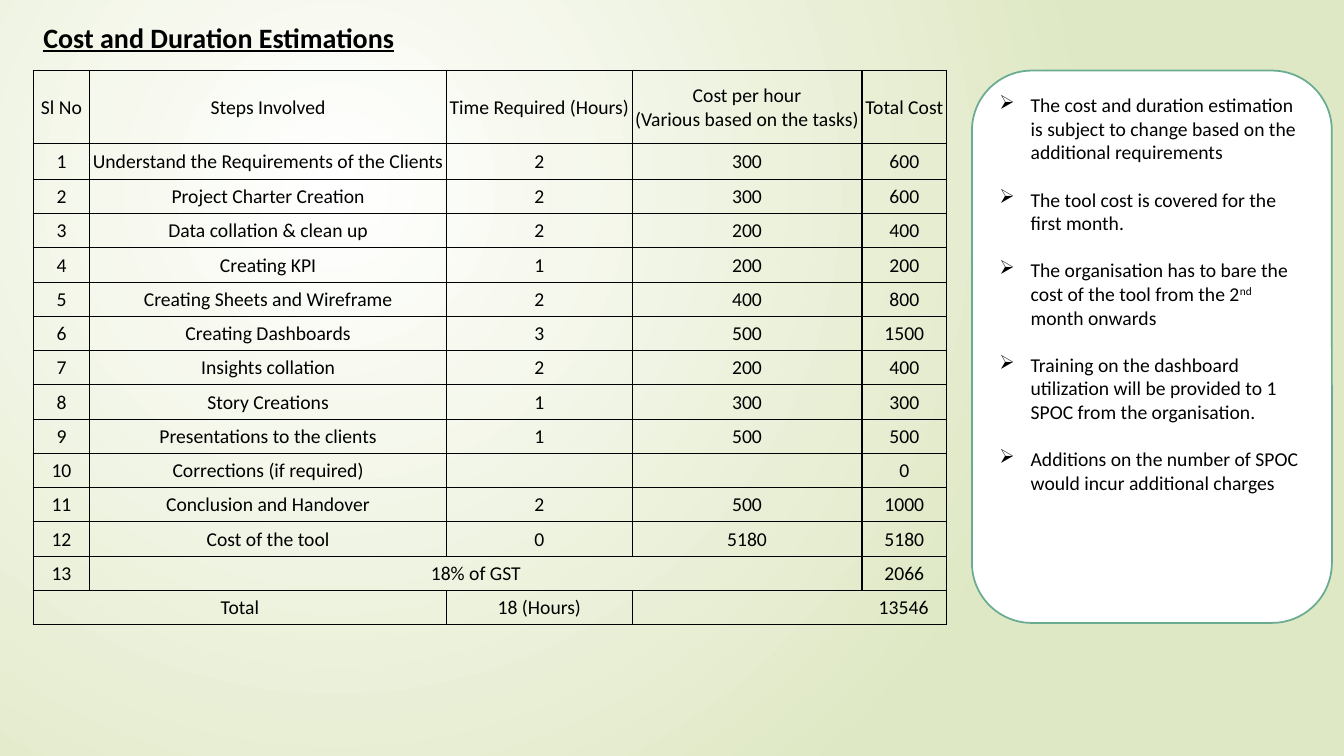
from lxml.etree import SubElement
from pptx import Presentation
from pptx.dml.color import RGBColor
from pptx.enum.shapes import MSO_SHAPE
from pptx.enum.text import MSO_ANCHOR, MSO_AUTO_SIZE, PP_ALIGN
from pptx.oxml import parse_xml
from pptx.oxml.ns import nsdecls, qn
from pptx.util import Inches, Pt

BLACK = RGBColor(0x00, 0x00, 0x00)
WHITE = RGBColor(0xFF, 0xFF, 0xFF)
PALE_GREEN = RGBColor(0xDF, 0xE8, 0xC4)
TEAL = RGBColor(0x6A, 0xAC, 0x91)
FONT = "Calibri"

HEADERS = ["Sl No", "Steps Involved", "Time Required (Hours)",
           "Cost per hour\n(Various based on the tasks)", "Total Cost"]
# Step, hours, cost per hour, total cost
STEPS = [
    ("Understand the Requirements of the Clients", "2", "300", "600"),
    ("Project Charter Creation", "2", "300", "600"),
    ("Data collation & clean up", "2", "200", "400"),
    ("Creating KPI", "1", "200", "200"),
    ("Creating Sheets and Wireframe", "2", "400", "800"),
    ("Creating Dashboards", "3", "500", "1500"),
    ("Insights collation", "2", "200", "400"),
    ("Story Creations", "1", "300", "300"),
    ("Presentations to the clients", "1", "500", "500"),
    ("Corrections (if required)", "", "", "0"),
    ("Conclusion and Handover", "2", "500", "1000"),
    ("Cost of the tool", "0", "5180", "5180"),
    ("18% of GST", "", "", "2066"),
]
TOTALS = ["Total", "", "18 (Hours)", "13546", ""]
COLUMN_WIDTHS = [0.56, 3.54, 1.84, 2.28, 0.84]
ROW_HEIGHTS = [0.72, 0.36] + [0.34] * 13

# Each note is a list of (text, is superscript) runs
NOTES = [
    [("The cost and duration estimation is subject to change based on the "
      "additional requirements", False)],
    [("The tool cost is covered for the first month.", False)],
    [("The organisation has to bare the cost of the tool from the 2", False),
     ("nd", True), (" month onwards", False)],
    [("Training on the dashboard utilization will be provided to 1 SPOC from "
      "the organisation.", False)],
    [("Additions on the number of SPOC would incur additional charges", False)],
]


def add_run(paragraph, text, size=14):
    run = paragraph.add_run()
    run.text = text
    run.font.name = FONT
    run.font.size = Pt(size)
    run.font.color.rgb = BLACK
    return run


def paint_background(slide):
    fill = slide.background.fill
    fill.gradient()
    for stop, color in zip(fill.gradient_stops, (WHITE, PALE_GREEN)):
        stop.color.rgb = color
    # Swap the linear gradient for a circular one
    linear = next(slide.element.iter(qn("a:lin")))
    gradient = linear.getparent()
    gradient.remove(linear)
    circle = SubElement(gradient, qn("a:path"))
    circle.set("path", "circle")
    focus = SubElement(circle, qn("a:fillToRect"))
    for side, percent in zip("ltrb", (50, 50, 100, 100)):
        focus.set(side, str(percent * 1000))


def add_heading(slide, left, top, width, height):
    heading = slide.shapes.title
    heading.left, heading.top = Inches(left), Inches(top)
    heading.width, heading.height = Inches(width), Inches(height)
    frame = heading.text_frame
    frame.word_wrap = False
    frame.auto_size = MSO_AUTO_SIZE.NONE
    frame.vertical_anchor = MSO_ANCHOR.TOP
    paragraph = frame.paragraphs[0]
    paragraph.alignment = PP_ALIGN.LEFT
    run = add_run(paragraph, "Cost and Duration Estimations", 20)
    run.font.bold = run.font.underline = True


def add_borders(cell):
    properties = cell._tc.get_or_add_tcPr()
    for index, edge in enumerate(("lnL", "lnR", "lnT", "lnB")):
        properties.insert(index, parse_xml(
            f'<a:{edge} {nsdecls("a")} w="{Pt(1)}"><a:solidFill>'
            f'<a:srgbClr val="{BLACK}"/></a:solidFill></a:{edge}>'))


def fill_cell(cell, text):
    cell.fill.background()
    add_borders(cell)
    cell.margin_left = cell.margin_right = cell.margin_top = Inches(0.01)
    cell.margin_bottom = 0
    cell.vertical_anchor = MSO_ANCHOR.MIDDLE
    paragraph = cell.text_frame.paragraphs[0]
    paragraph.alignment = PP_ALIGN.CENTER
    for index, line in enumerate(text.split("\n") if text else []):
        if index:
            paragraph.add_line_break()
        add_run(paragraph, line)


def add_cost_table(slide, left, top, width, height):
    rows = [HEADERS]
    rows += [[str(number), *step] for number, step in enumerate(STEPS, 1)]
    rows.append(TOTALS)
    costs = slide.shapes.add_table(
        len(rows), len(HEADERS), Inches(left), Inches(top),
        Inches(width), Inches(height)).table
    costs.first_row = costs.horz_banding = False
    for column, column_width in zip(costs.columns, COLUMN_WIDTHS):
        column.width = Inches(column_width)
    for row, row_height, texts in zip(costs.rows, ROW_HEIGHTS, rows):
        row.height = Inches(row_height)
        for cell, text in zip(row.cells, texts):
            fill_cell(cell, text)

    # Tax and total rows span several columns
    total_row = len(rows) - 1
    tax_row = total_row - 1
    costs.cell(tax_row, 1).merge(costs.cell(tax_row, 3))
    costs.cell(total_row, 0).merge(costs.cell(total_row, 1))
    grand_total = costs.cell(total_row, 3)
    grand_total.merge(costs.cell(total_row, 4))
    grand_total.margin_right = Inches(0.18)
    grand_total.text_frame.paragraphs[0].alignment = PP_ALIGN.RIGHT


def add_notes_panel(slide, left, top, width, height):
    panel = slide.shapes.add_shape(
        MSO_SHAPE.ROUNDED_RECTANGLE, Inches(left), Inches(top),
        Inches(width), Inches(height))
    panel.shadow.inherit = False
    panel.fill.solid()
    panel.fill.fore_color.rgb = WHITE
    panel.line.color.rgb = TEAL
    panel.line.width = Pt(1.25)
    frame = panel.text_frame
    frame.word_wrap = True
    frame.vertical_anchor = MSO_ANCHOR.TOP
    for index, note in enumerate(NOTES):
        paragraph = frame.add_paragraph() if index else frame.paragraphs[0]
        paragraph.alignment = PP_ALIGN.LEFT
        if index:
            paragraph.space_before = Pt(17)
        # Arrow bullet with a hanging indent
        properties = paragraph._p.get_or_add_pPr()
        properties.set("marL", str(Inches(0.31)))
        properties.set("indent", str(Inches(-0.31)))
        SubElement(properties, qn("a:buChar")).set("char", "➢")
        for text, superscript in note:
            run = add_run(paragraph, text)
            if superscript:
                run.font._element.set("baseline", "30000")


def main():
    presentation = Presentation()
    presentation.slide_width = Inches(13.33)
    presentation.slide_height = Inches(7.5)
    slide = presentation.slides.add_slide(presentation.slide_layouts[5])
    paint_background(slide)
    add_heading(slide, 0.33, 0.15, 3.71, 0.44)
    add_cost_table(slide, 0.33, 0.7, sum(COLUMN_WIDTHS), sum(ROW_HEIGHTS))
    add_notes_panel(slide, 9.64, 0.7, 3.57, 5.48)
    presentation.save("out.pptx")


if __name__ == "__main__":
    main()
